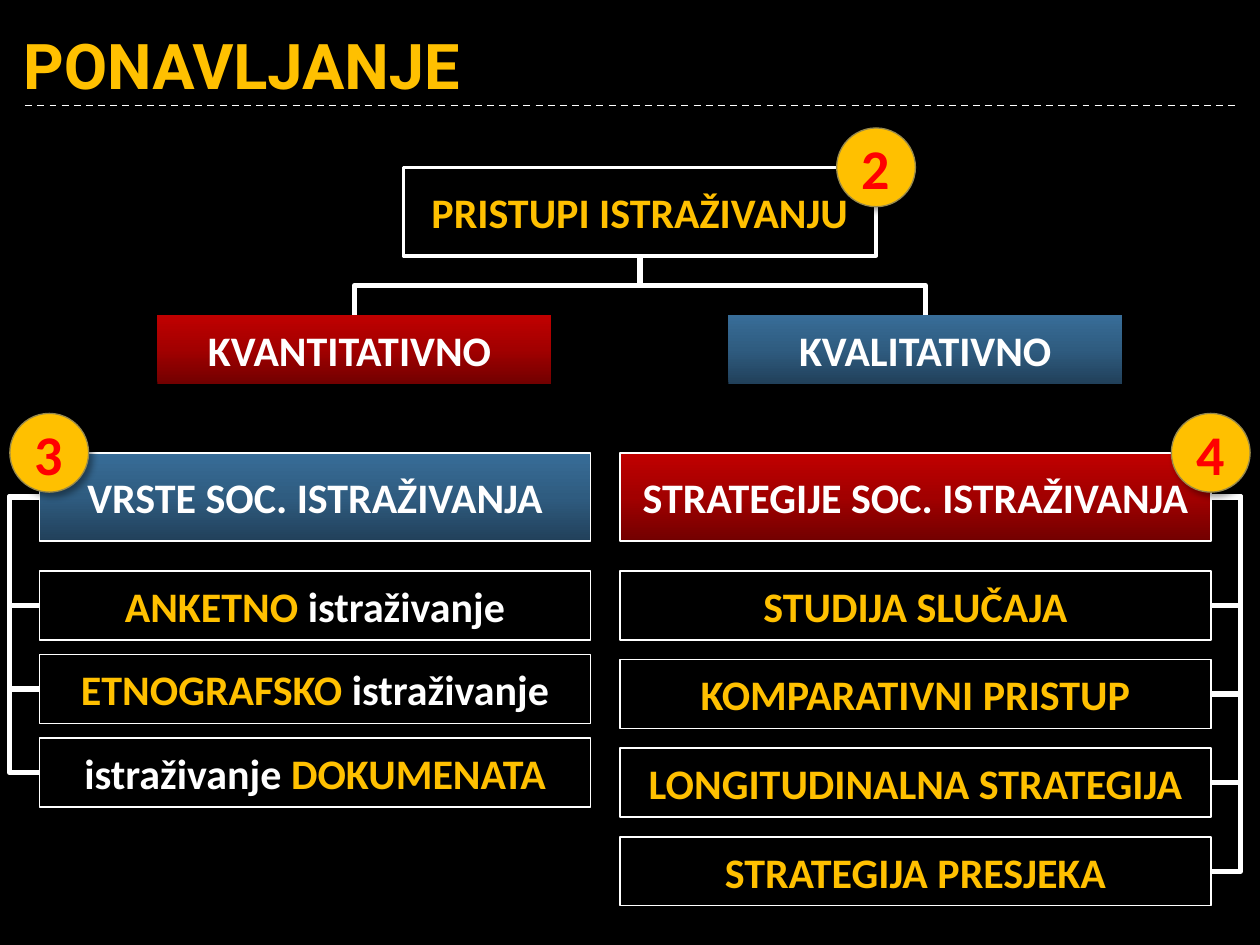
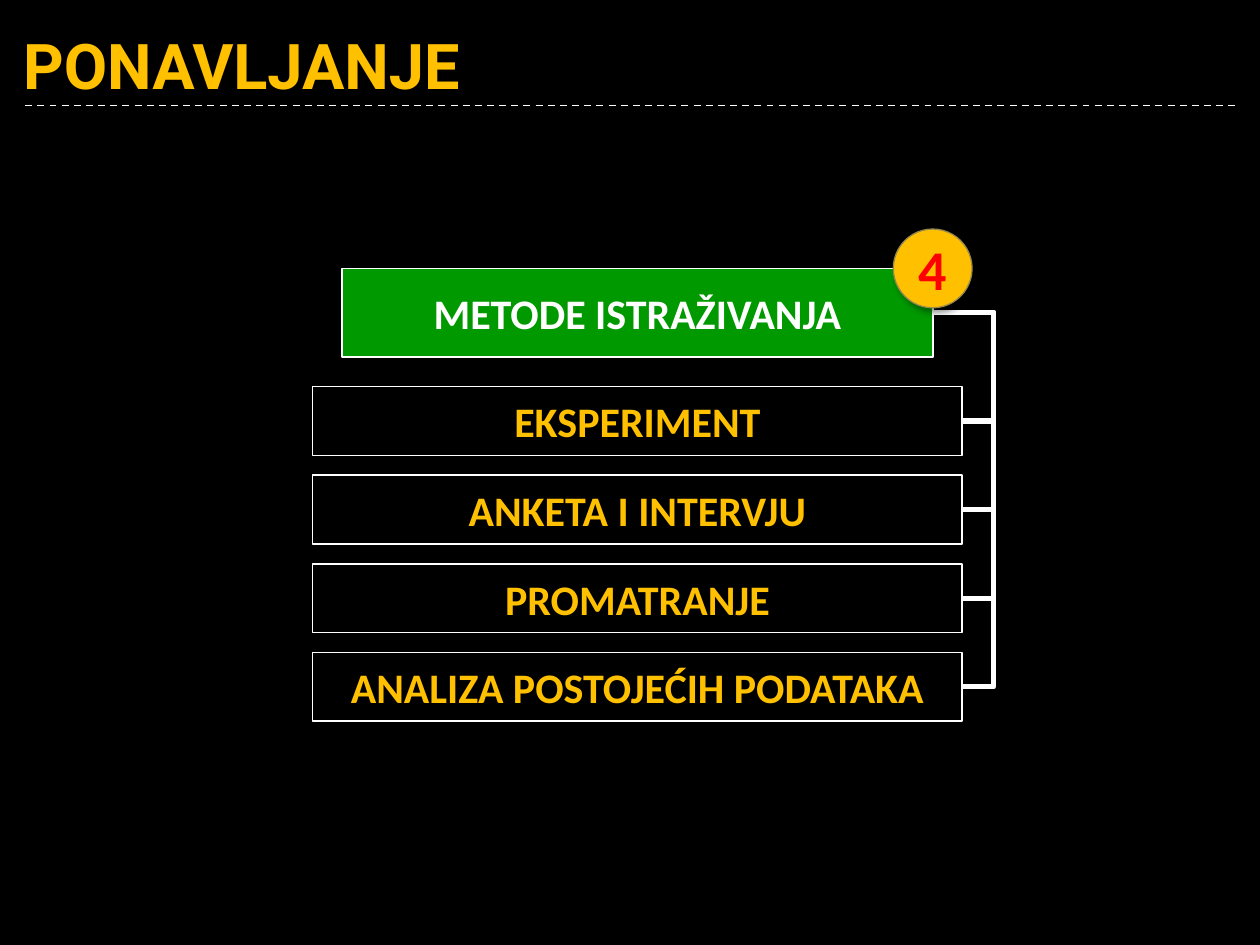
from dataclasses import dataclass
from typing import Optional

import lxml.etree
import pptx
import pptx.dml.color
import pptx.enum.dml
import pptx.enum.shapes
import pptx.enum.text
import pptx.oxml.ns
import pptx.util

Pt = pptx.util.Pt
qn = pptx.oxml.ns.qn
SHAPES = pptx.enum.shapes.MSO_SHAPE
CONNECTORS = pptx.enum.shapes.MSO_CONNECTOR
ALIGN = pptx.enum.text.PP_ALIGN

COLORS = {
    "black": "000000",
    "white": "FFFFFF",
    "gold": "FFC000",
    "red": "FF0000",
    "green": "009900",
    "badge_edge": "98894B",
}
GRADIENTS = {
    "blue_fade": ("21405A", "2F5C80", "386D98"),
    "red_fade": ("720000", "A20000", "C00000"),
}
BODY_FONT = "Calibri"
TITLE_FONT = "Roboto"
HEADER_HEIGHT = 50.63
ROW_HEIGHT = 39.38
FIRST_ROW_OFFSET = 67.5
BADGE_SIZE = 45
SPINE_REACH = 18
NUDGE = 0.12
TOP, LEFT, BOTTOM, RIGHT = range(4)

Spans = list[tuple[str, str]]


@dataclass
class Box:
    left: float
    top: float
    width: float
    height: float
    spans: Spans
    fill: str = "black"
    line_width: Optional[float] = 1


@dataclass
class Branch:
    header: Box
    rows: list[Spans]
    row_left: float
    row_width: float
    pitch: float
    side: int


@dataclass
class Badge:
    text: str
    center_x: float
    center_y: float


def color(name: str) -> pptx.dml.color.RGBColor:
    return pptx.dml.color.RGBColor.from_string(COLORS[name])


def format_span(span, name: str, size: float, font: str) -> None:
    span.font.size = Pt(size)
    span.font.name = font
    span.font.bold = True
    span.font.color.rgb = color(name)


def write_spans(shape, spans: Spans, size: float) -> None:
    frame = shape.text_frame
    frame.word_wrap = True
    frame.vertical_anchor = pptx.enum.text.MSO_ANCHOR.MIDDLE
    para = frame.paragraphs[0]
    para.alignment = ALIGN.CENTER
    for text, name in spans:
        span = para.add_run()
        span.text = text
        format_span(span, name, size, BODY_FONT)


def fill_gradient(shape, stops: tuple[str, ...]) -> None:
    shape.fill.gradient()
    shape.fill.gradient_angle = 90
    stop_list = shape._element.spPr.find(".//" + qn("a:gsLst"))
    for stop in list(stop_list):
        stop_list.remove(stop)
    for index, value in enumerate(stops):
        stop = lxml.etree.SubElement(stop_list, qn("a:gs"), pos=str(index * 50000))
        lxml.etree.SubElement(stop, qn("a:srgbClr"), val=value)


def draw_box(page, box: Box):
    shape = page.shapes.add_shape(
        SHAPES.RECTANGLE, Pt(box.left), Pt(box.top), Pt(box.width), Pt(box.height))
    shape.shadow.inherit = False
    if box.fill in GRADIENTS:
        fill_gradient(shape, GRADIENTS[box.fill])
    else:
        shape.fill.solid()
        shape.fill.fore_color.rgb = color(box.fill)
    if box.line_width is None:
        shape.line.fill.background()
    else:
        shape.line.color.rgb = color("white")
        shape.line.width = Pt(box.line_width)
    write_spans(shape, box.spans, 24)
    return shape


def draw_badge(page, badge: Badge) -> None:
    shape = page.shapes.add_shape(
        SHAPES.OVAL, Pt(badge.center_x - BADGE_SIZE / 2), Pt(badge.center_y - BADGE_SIZE / 2),
        Pt(BADGE_SIZE), Pt(BADGE_SIZE))
    shape.fill.solid()
    shape.fill.fore_color.rgb = color("gold")
    shape.line.color.rgb = color("badge_edge")
    shape.line.width = Pt(0.75)
    shape.shadow.inherit = False
    effects = shape._element.spPr.find(qn("a:effectLst"))
    shadow = lxml.etree.SubElement(
        effects, qn("a:outerShdw"), blurRad=str(Pt(4)), dist=str(Pt(3)),
        dir="2700000", algn="tl", rotWithShape="0")
    tint = lxml.etree.SubElement(shadow, qn("a:srgbClr"), val=COLORS["black"])
    lxml.etree.SubElement(tint, qn("a:alpha"), val="40000")
    write_spans(shape, [(badge.text, "red")], 32)


def style_connector(connector, width: float) -> None:
    connector.line.color.rgb = color("white")
    connector.line.width = Pt(width)
    lxml.etree.SubElement(connector._element.spPr, qn("a:effectLst"))


def join(page, start, start_site: int, end, end_site: int):
    connector = page.shapes.add_connector(CONNECTORS.ELBOW, 0, 0, 0, 0)
    connector.begin_connect(start, start_site)
    connector.end_connect(end, end_site)
    style_connector(connector, 3)
    return connector


def join_at_side(page, header, row, side: int) -> None:
    connector = join(page, header, side, row, side)
    outward = 1 if side == RIGHT else -1
    spine = connector.end_x + outward * Pt(SPINE_REACH)
    if abs(connector.end_x - connector.begin_x) < Pt(NUDGE):
        connector.end_x = connector.begin_x + outward * Pt(NUDGE)
    ratio = (spine - connector.begin_x) / (connector.end_x - connector.begin_x)
    adjustments = connector._element.spPr.find(".//" + qn("a:avLst"))
    lxml.etree.SubElement(
        adjustments, qn("a:gd"), name="adj1", fmla=f"val {round(ratio * 100000)}")


def join_downward(page, parent, child) -> None:
    connector = join(page, parent, BOTTOM, child, TOP)
    rightward = connector.end_x > connector.begin_x
    across, down = connector.width, connector.height
    center_x = connector.left + across // 2
    center_y = connector.top + down // 2
    connector.left, connector.top = center_x - down // 2, center_y - across // 2
    connector.width, connector.height = down, across
    frame = connector._element.spPr.xfrm
    frame.flipH = rightward
    frame.rot = 270 if rightward else 90


def draw_branch(page, branch: Branch) -> None:
    header = draw_box(page, branch.header)
    first_top = branch.header.top + FIRST_ROW_OFFSET
    for index, spans in enumerate(branch.rows):
        row = draw_box(page, Box(
            branch.row_left, first_top + index * branch.pitch,
            branch.row_width, ROW_HEIGHT, spans))
        join_at_side(page, header, row, branch.side)


def add_page(deck, title_text: str):
    page = deck.slides.add_slide(deck.slide_layouts[5])
    page.background.fill.solid()
    page.background.fill.fore_color.rgb = color("black")
    title = page.shapes.title
    title.left, title.top, title.width, title.height = Pt(6), Pt(11.5), Pt(714), Pt(50.5)
    title.text_frame.text = title_text
    title.text_frame.vertical_anchor = pptx.enum.text.MSO_ANCHOR.MIDDLE
    para = title.text_frame.paragraphs[0]
    para.alignment = ALIGN.LEFT
    format_span(para.runs[0], "gold", 36, TITLE_FONT)
    divider = page.shapes.add_connector(
        CONNECTORS.STRAIGHT, Pt(14.4), Pt(60.3), Pt(705.6), Pt(60.3))
    style_connector(divider, 1)
    divider.line.dash_style = pptx.enum.dml.MSO_LINE.DASH
    return page


def gold_rows(*texts: str) -> list[Spans]:
    return [[(text, "gold")] for text in texts]


def build_approaches(deck) -> None:
    page = add_page(deck, "PONAVLJANJE")
    root = draw_box(page, Box(
        230.63, 95.63, 270, HEADER_HEIGHT, [("PRISTUPI ISTRAŽIVANJU", "gold")], line_width=2))
    for left, text, fill in (
        (90, "KVANTITATIVNO ", "red_fade"),
        (416.25, "KVALITATIVNO", "blue_fade"),
    ):
        child = draw_box(page, Box(left, 180, 225, ROW_HEIGHT, [(text, "white")], fill, None))
        join_downward(page, root, child)

    kinds = Box(22.5, 258.75, 315, HEADER_HEIGHT,
                [("VRSTE SOC. ISTRAŽIVANJA", "white")], "blue_fade")
    kind_rows = [
        [("ANKETNO ", "gold"), ("istraživanje", "white")],
        [("ETNOGRAFSKO", "gold"), (" istraživanje", "white")],
        [("istraživanje ", "white"), ("DOKUMENATA", "gold")],
    ]
    draw_branch(page, Branch(kinds, kind_rows, kinds.left, kinds.width, 47.8, LEFT))

    strategies = Box(354.38, 258.75, 337.5, HEADER_HEIGHT,
                     [("STRATEGIJE SOC. ISTRAŽIVANJA", "white")], "red_fade")
    strategy_rows = gold_rows("STUDIJA SLUČAJA", "KOMPARATIVNI PRISTUP",
                              "LONGITUDINALNA STRATEGIJA", "STRATEGIJA PRESJEKA")
    draw_branch(page, Branch(
        strategies, strategy_rows, strategies.left, strategies.width, 50.63, RIGHT))

    for badge in (Badge("2", 500.63, 95.63), Badge("3", 28.13, 258.75),
                  Badge("4", 691.88, 258.75)):
        draw_badge(page, badge)


def build_methods(deck) -> None:
    page = add_page(deck, "PONAVLJANJE")
    methods = Box(195.5, 153.4, 337.5, HEADER_HEIGHT,
                  [("METODE ISTRAŽIVANJA", "white")], "green")
    rows = gold_rows("EKSPERIMENT", "ANKETA I INTERVJU", "PROMATRANJE",
                     "ANALIZA POSTOJEĆIH PODATAKA")
    draw_branch(page, Branch(methods, rows, 178.6, 371.25, 50.63, RIGHT))
    draw_badge(page, Badge("4", methods.left + methods.width, methods.top))


def main() -> None:
    deck = pptx.Presentation()
    deck.slide_width, deck.slide_height = Pt(720), Pt(540)
    build_approaches(deck)
    build_methods(deck)
    deck.save("out.pptx")


if __name__ == "__main__":
    main()
